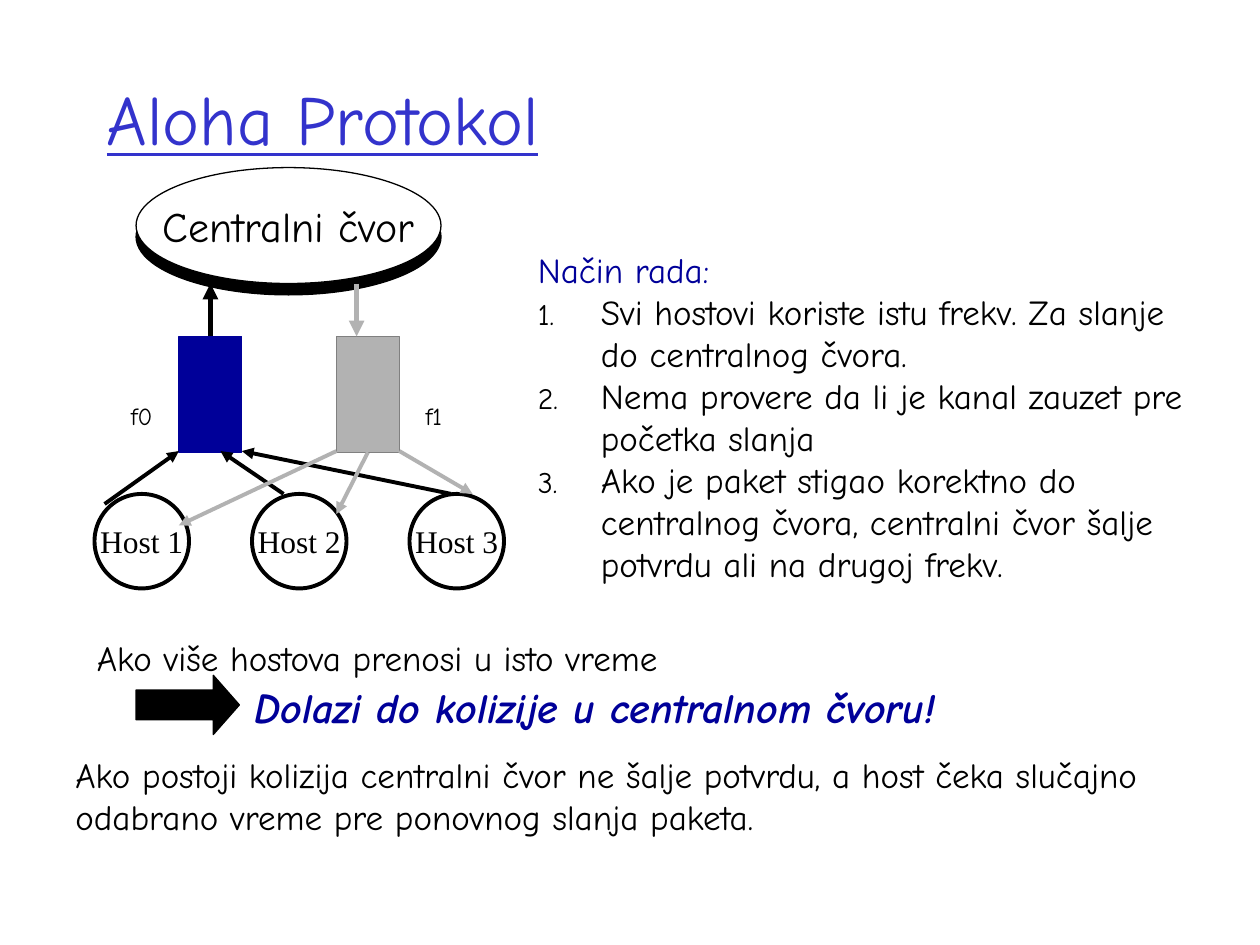
"""Build a slide on the Aloha protocol."""
from lxml.etree import SubElement
from pptx import Presentation
from pptx.dml.color import RGBColor
from pptx.enum.shapes import MSO_CONNECTOR, MSO_SHAPE
from pptx.enum.text import MSO_ANCHOR, MSO_AUTO_SIZE, PP_ALIGN
from pptx.oxml.ns import qn
from pptx.util import Inches, Pt

BLACK = RGBColor(0x00, 0x00, 0x00)
WHITE = RGBColor(0xFF, 0xFF, 0xFF)
NAVY = RGBColor(0x00, 0x00, 0x99)
BLUE = RGBColor(0x33, 0x33, 0xCC)
SILVER = RGBColor(0xB2, 0xB2, 0xB2)
GRAY = RGBColor(0x80, 0x80, 0x80)
FONT = "Comic Neue"

deck = Presentation()
deck.slide_width, deck.slide_height = Inches(10), Inches(7.5)
slide = deck.slides.add_slide(deck.slide_layouts[6])
shapes = slide.shapes


def style(para, text, size, color, face=FONT):
    para.text = text
    font = para.font
    font.name, font.size = face, Pt(size)
    font.color.rgb = color
    return font


def draw(kind, box, fill, edge, width=0.75, home=shapes, text="", size=18, face=FONT):
    shape = home.add_shape(kind, *map(Inches, box))
    shape.shadow.inherit = False
    shape.fill.solid()
    shape.fill.fore_color.rgb = fill
    shape.line.color.rgb = edge
    shape.line.width = Pt(width)
    if text:
        frame = shape.text_frame
        frame.word_wrap = False
        frame.vertical_anchor = MSO_ANCHOR.MIDDLE
        frame.paragraphs[0].alignment = PP_ALIGN.CENTER
        style(frame.paragraphs[0], text, size, BLACK, face)
    return shape


node = shapes.add_group_shape().shapes
draw(MSO_SHAPE.OVAL, (1.08, 1.42, 2.42, 0.92), BLACK, BLACK, home=node)
draw(MSO_SHAPE.OVAL, (1.08, 1.33, 2.42, 0.92), WHITE, BLACK, home=node,
     text="Centralni čvor", size=24)

send = draw(MSO_SHAPE.RECTANGLE, (1.42, 2.67, 0.5, 0.92), NAVY, NAVY)
reply = draw(MSO_SHAPE.RECTANGLE, (2.67, 2.67, 0.5, 0.92), SILVER, GRAY)

for i in range(3):
    draw(MSO_SHAPE.OVAL, (0.75 + 1.25 * i, 3.92, 0.75, 0.75), WHITE, BLACK, 2.25,
         text=f"Host {i + 1}", face="Times New Roman")

arrows = [
    ((1.67, 2.67), (1.67, 2.25), BLACK, 3, (send, 0)),
    ((2.83, 2.25), (2.83, 2.67), SILVER, 3, None),
    ((3.58, 3.92), (1.92, 3.58), BLACK, 2.25, None),
    ((2.25, 3.92), (1.75, 3.58), BLACK, 2.25, None),
    ((0.83, 4), (1.42, 3.58), BLACK, 2.25, None),
    ((2.67, 3.58), (1.42, 4.17), SILVER, 2.25, None),
    ((2.92, 3.58), (2.67, 4.08), SILVER, 2.25, (reply, 2)),
    ((3.17, 3.58), (3.75, 3.92), SILVER, 2.25, None),
]
for start, end, color, width, joint in arrows:
    arrow = shapes.add_connector(MSO_CONNECTOR.STRAIGHT, *map(Inches, start + end))
    if joint:
        arrow.begin_connect(*joint)
    arrow.line.color.rgb = color
    arrow.line.width = Pt(width)
    SubElement(arrow.line._get_or_add_ln(), qn("a:tailEnd"), type="triangle")
    SubElement(arrow._element.spPr, qn("a:effectLst"))

block = draw(MSO_SHAPE.RIGHT_ARROW, (1.08, 5.36, 0.82, 0.47), BLACK, BLACK)
block.adjustments[1] = 0.44

notes = [
    ((0.75, 0.42, 8.5, 1.03), "Aloha Protokol", 40, BLUE, True),
    ((0.67, 5, 4.69, 0.44), "Ako više hostova prenosi u isto vreme", 20, BLACK, False),
    ((1.92, 5.36, 6.71, 0.5), "Dolazi do kolizije u centralnom čvoru!", 24, NAVY, True),
    ((0.5, 5.93, 9.26, 0.77),
     "Ako postoji kolizija centralni čvor ne šalje potvrdu, a host čeka slučajno "
     "odabrano vreme pre ponovnog slanja paketa.", 20, BLACK, True),
    ((0.94, 2.91, 0.37, 0.56), "f0", 24, BLACK, False),
    ((3.28, 2.91, 0.33, 0.56), "f1", 24, BLACK, False),
]
for box, text, size, color, wrap in notes:
    frame = shapes.add_textbox(*map(Inches, box)).text_frame
    frame.word_wrap = wrap
    para = frame.paragraphs[0]
    font = style(para, text, size, color)
    if color == BLUE:
        frame.vertical_anchor = MSO_ANCHOR.MIDDLE
        font.underline = True
    else:
        frame.auto_size = MSO_AUTO_SIZE.SHAPE_TO_FIT_TEXT
    if color == NAVY:
        font.bold = font.italic = True
    if text in ("f0", "f1"):
        para.runs[0]._r.get_or_add_rPr().set("baseline", "-25000")

steps = [
    "Način rada:",
    "Svi hostovi koriste istu frekv. Za slanje do centralnog čvora.",
    "Nema provere da li je kanal zauzet pre početka slanja",
    "Ako je paket stigao korektno do centralnog čvora, centralni čvor šalje "
    "potvrdu ali na drugoj frekv.",
]
frame = shapes.add_textbox(*map(Inches, (4.17, 1.92, 5.55, 2.77))).text_frame
frame.word_wrap = True
frame.auto_size = MSO_AUTO_SIZE.SHAPE_TO_FIT_TEXT
for i, step in enumerate(steps):
    para = frame.add_paragraph() if i else frame.paragraphs[0]
    props = para._p.get_or_add_pPr()
    props.set("marL", str(Inches(0.5)))
    props.set("indent", str(-Inches(0.5)))
    if i:
        tint = SubElement(props, qn("a:buClr"))
        SubElement(tint, qn("a:srgbClr"), val=str(BLACK))
        SubElement(props, qn("a:buSzPct"), val="85000")
        SubElement(props, qn("a:buFont"), typeface=FONT)
        SubElement(props, qn("a:buAutoNum"), type="arabicPeriod")
    style(para, step, 20, BLACK if i else NAVY)

deck.save("out.pptx")
